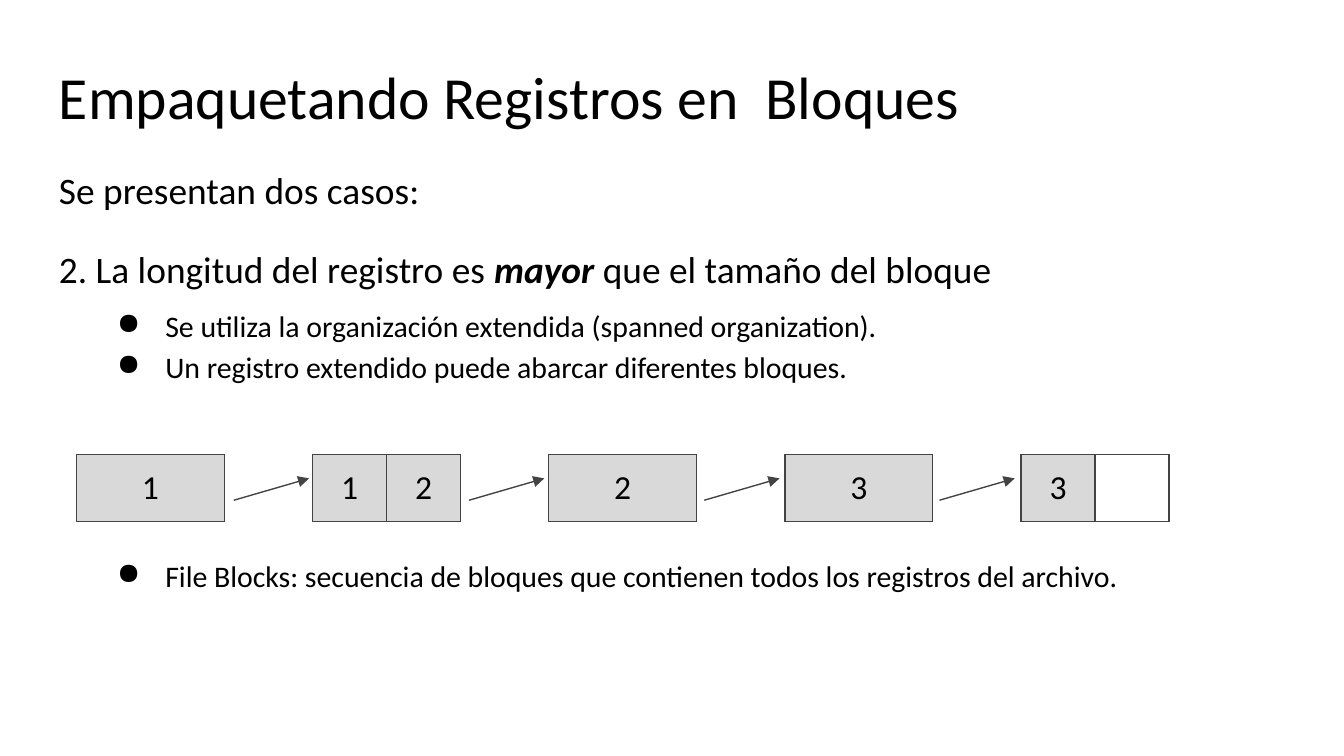
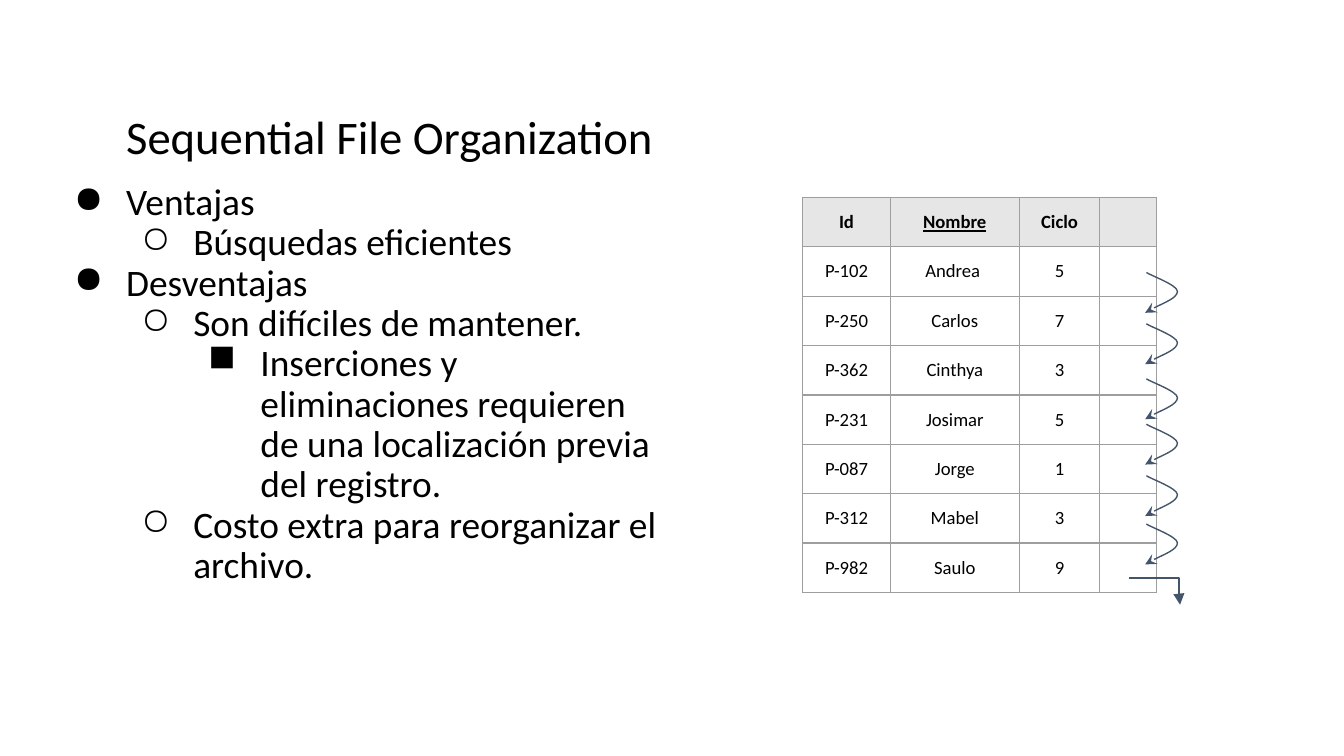
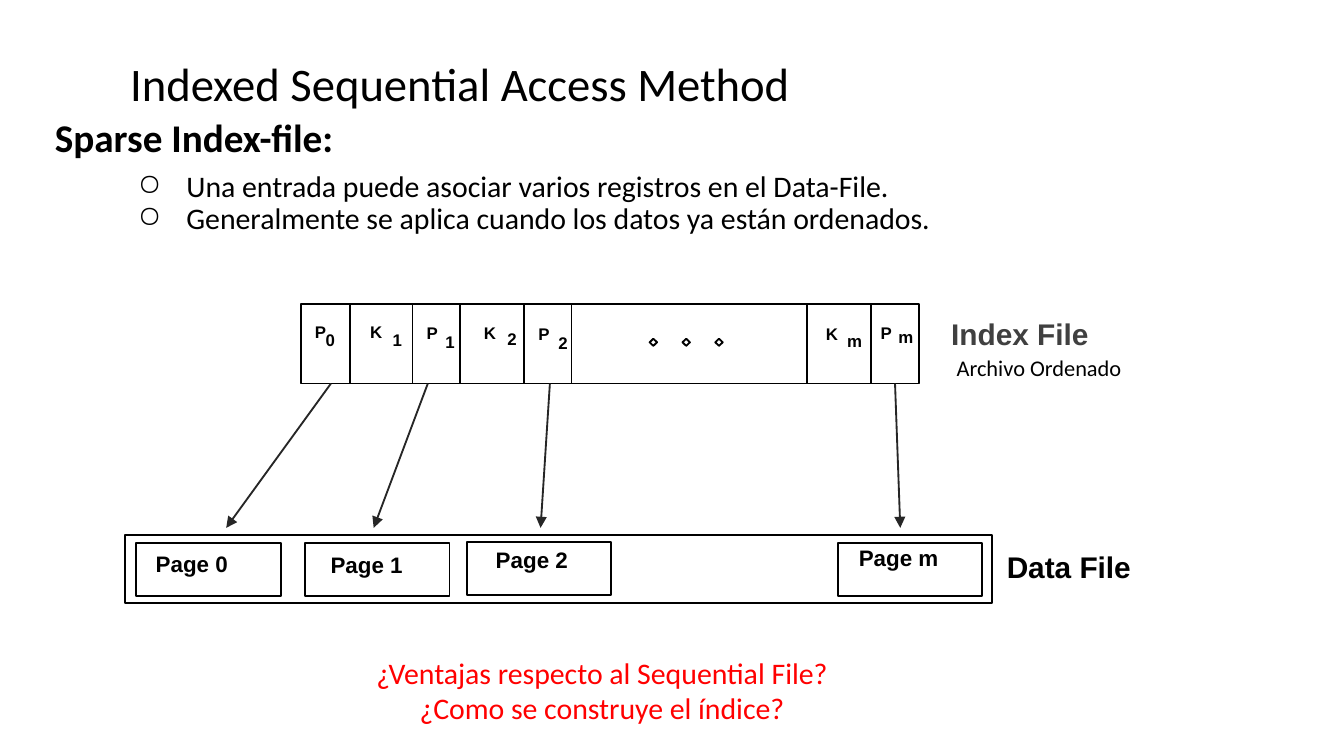
from dataclasses import dataclass

from lxml import etree
from pptx import Presentation
from pptx.dml.color import RGBColor
from pptx.enum.shapes import MSO_CONNECTOR as Connector, MSO_SHAPE as Preset
from pptx.enum.text import PP_ALIGN as Align
from pptx.oxml.ns import qn
from pptx.util import Pt

COLORS = {
    "text": "000000", "block": "D9D9D9", "block_line": "434343",
    "header": "E7E6E6", "grid": "9E9E9E", "pointer": "44546A",
    "label": "404040", "arrow": "262626", "question": "FF0000",
}
BODY_FONT, DIAGRAM_FONT = "Calibri", "Arial"
PLACEHOLDER_INSETS, BOX_INSETS, KEY_INSETS = (7.2, 7.2), (7.2, 3.6), (6, 3)
MARGIN, CONTENT_WIDTH, TITLE_HEIGHT = 24.5, 671, 55.5


@dataclass
class Line:
    """One paragraph; each run is a (text, styles) pair, styles among b, i, u."""
    runs: list
    size: float = 20
    spacing: float = 1
    before: float = 0
    align: Align = Align.LEFT
    level: int = 0
    left: float = 0
    hanging: float = 0
    bullet: str = ""


def rgb(name):
    return RGBColor.from_string(COLORS[name])


def add_element(parent, tag, **attributes):
    return etree.SubElement(parent, qn(tag), attributes)


# ---- Text ----
def write_line(paragraph, line, font, color):
    paragraph.alignment = line.align
    paragraph.level = line.level
    paragraph.line_spacing = line.spacing
    paragraph.space_before = Pt(line.before)
    properties = paragraph._p.get_or_add_pPr()
    properties.set("marL", str(Pt(line.left)))
    properties.set("indent", str(Pt(-line.hanging)))
    if line.bullet:
        add_element(properties, "a:buChar", char=line.bullet)
    for text, styles in line.runs:
        run = paragraph.add_run()
        run.text = text
        run.font.name = font
        run.font.size = Pt(line.size)
        run.font.color.rgb = rgb(color)
        run.font.bold = "b" in styles
        run.font.italic = "i" in styles
        run.font.underline = "u" in styles


def add_text(slide, box, lines, font=BODY_FONT, color="text",
             insets=BOX_INSETS, wrap=True):
    frame = slide.shapes.add_textbox(*map(Pt, box)).text_frame
    frame.word_wrap = wrap
    frame.margin_left = frame.margin_right = Pt(insets[0])
    frame.margin_top = frame.margin_bottom = Pt(insets[1])
    for index, line in enumerate(lines):
        paragraph = frame.add_paragraph() if index else frame.paragraphs[0]
        write_line(paragraph, line, font, color)


def add_title(slide, text, top, left=MARGIN, size=25, spacing=1.5, indent=36):
    line = Line([(text, "")], size, spacing, left=indent)
    add_text(slide, (left, top, CONTENT_WIDTH, TITLE_HEIGHT), [line],
             insets=PLACEHOLDER_INSETS)


def add_label(slide, box, text, size=12, color="text", insets=BOX_INSETS, wrap=True):
    add_text(slide, box, [Line([(text, "b")], size)], DIAGRAM_FONT, color, insets, wrap)


# ---- Shapes and lines ----
def style_line(shape, color, width, arrow=None):
    shape.line.color.rgb = rgb(color)
    shape.line.width = Pt(width)
    if arrow:
        add_element(shape.line._get_or_add_ln(), "a:tailEnd", type=arrow)


def add_outline(slide, box, preset=Preset.RECTANGLE):
    shape = slide.shapes.add_shape(preset, *map(Pt, box))
    shape.shadow.inherit = False
    shape.fill.background()
    style_line(shape, "text", 1)


def add_arrow(slide, start, end, color, width, kind=Connector.STRAIGHT):
    connector = slide.shapes.add_connector(kind, *map(Pt, (*start, *end)))
    style_line(connector, color, width, "triangle")
    add_element(connector._element.spPr, "a:effectLst")
    return connector


def add_pointer_curve(slide, left, top):
    """Two cubic curves that bulge right and lead to the next record."""
    offsets = [(2.2, 1.6), (16.6, 6.7), (16.6, 10.1),
               (16.6, 13.7), (2.2, 19.4), (-0.7, 21.6)]
    builder = slide.shapes.build_freeform(Pt(left), Pt(top))
    builder.add_line_segments([(Pt(left + x), Pt(top + y)) for x, y in offsets],
                              close=False)
    shape = builder.convert_to_shape()
    shape.shadow.inherit = False
    shape.fill.background()
    style_line(shape, "pointer", 0.75, "stealth")
    # Each three straight segments become the points of one curve
    outline = shape._element.find(".//" + qn("a:path"))
    segments = outline.findall(qn("a:lnTo"))
    for first in (0, 3):
        curve = add_element(outline, "a:cubicBezTo")
        for segment in segments[first:first + 3]:
            curve.append(segment[0])
            outline.remove(segment)


# ---- Tables ----
def style_cell(cell, text, styles, size, border, fill):
    properties = cell._tc.get_or_add_tcPr()
    for side in ("a:lnL", "a:lnR", "a:lnT", "a:lnB"):
        edge = add_element(properties, side, w=str(Pt(0.75)))
        add_element(add_element(edge, "a:solidFill"), "a:srgbClr", val=COLORS[border])
    if fill:
        cell.fill.solid()
        cell.fill.fore_color.rgb = rgb(fill)
    else:
        cell.fill.background()
    inset = Pt(7.2 if text else 0)
    cell.margin_left = cell.margin_right = cell.margin_top = cell.margin_bottom = inset
    if text:
        write_line(cell.text_frame.paragraphs[0],
                   Line([(text, styles)], size, align=Align.CENTER), BODY_FONT, "text")


def add_grid(slide, left, top, widths, row_height, rows, size, border):
    """Rows hold (text, styles, fill) cells."""
    frame = slide.shapes.add_table(len(rows), len(widths), Pt(left), Pt(top),
                                   Pt(sum(widths)), Pt(row_height * len(rows)))
    table = frame.table
    table.first_row = table.horz_banding = False
    for column, width in zip(table.columns, widths):
        column.width = Pt(width)
    for row, cells in zip(table.rows, rows):
        row.height = Pt(row_height)
        for cell, (text, styles, fill) in zip(row.cells, cells):
            style_cell(cell, text, styles, size, border, fill)


# ---- Slides ----
def build_spanned_slide(slide):
    add_title(slide, "Empaquetando Registros en  Bloques", 29, size=32, spacing=0.9,
              indent=0)

    def point(text, before):
        return Line([(text, "")], 16, 1.15, before, left=57, hanging=26, bullet="●")

    add_text(slide, (MARGIN, 85, CONTENT_WIDTH, 140), [
        Line([("Se presentan dos casos:", "")], spacing=0.9, before=6),
        Line([("2. La longitud del registro es ", ""), ("mayor ", "bi"),
              ("que el tamaño del bloque", "")], spacing=1.5, before=6),
        point("Se utiliza la organización extendida (spanned organization).", 6),
        point("Un registro extendido puede abarcar diferentes bloques.", 0),
        point("File Blocks: secuencia de bloques que contienen todos los registros "
              "del archivo.", 90),
    ], insets=PLACEHOLDER_INSETS)

    # Chain of blocks, each holding one or two record parts
    blocks = [["1"], ["1", "2"], ["2"], ["3"], ["3", ""]]
    for index, parts in enumerate(blocks):
        cells = [(part, "", "block" if part else None) for part in parts]
        widths = [79.2 / len(parts)] * len(parts)
        add_grid(slide, 41 + 126.5 * index, 243.5, widths, 34.5, [cells], 18,
                 "block_line")
    for index in range(len(blocks) - 1):
        left = 125.3 + 126 * index
        add_arrow(slide, (left, 268), (left + 40.3, 256.3), "block_line", 0.75)


def build_sequential_slide(slide):
    add_title(slide, "Sequential File Organization", 35.5)
    points = [
        (0, "Ventajas"), (1, "Búsquedas eficientes"),
        (0, "Desventajas"), (1, "Son difíciles de mantener."),
        (2, "Inserciones y eliminaciones requieren de una localización previa "
            "del registro."),
        (1, "Costo extra para reorganizar el archivo."),
    ]
    add_text(slide, (MARGIN, 91, 342.7, 269), [
        Line([(text, "")], spacing=0.9, level=level, left=36 * (level + 1),
             hanging=28, bullet="●○■"[level])
        for level, text in points
    ], insets=PLACEHOLDER_INSETS)

    # Student records
    header = [("Id", "b", "header"), ("Nombre", "bu", "header"),
              ("Ciclo", "b", "header"), ("", "", "header")]
    records = [
        ("P-102", "Andrea ", "5"), ("P-250", "Carlos", "7"), ("P-362", "Cinthya", "3"),
        ("P-231", "Josimar", "5"), ("P-087", "Jorge", "1"), ("P-312", "Mabel", "3"),
        ("P-982", "Saulo", "9"),
    ]
    rows = [[(text, "", None) for text in (*record, "")] for record in records]
    add_grid(slide, 430, 105.8, [47, 69, 43.2, 30.2], 26.4, [header] + rows, 10, "grid")

    # Pointers from each record to the next
    for top in (146, 173.5, 203, 227.3, 254.9, 280.8):
        add_pointer_curve(slide, 614.2, top)
    last = add_arrow(slide, (605, 309.7), (632.2, 324), "pointer", 0.75, Connector.ELBOW)
    add_element(last._element.find(".//" + qn("a:avLst")), "a:gd",
                name="adj1", fmla="val 98000")


def build_indexed_slide(slide):
    add_title(slide, "Indexed Sequential Access Method", 7.2, left=26.6)

    def point(text, before):
        return Line([(text, "")], 16, 0.9, before, Align.JUSTIFY, 1, 70.5, 26, "○")

    add_text(slide, (22.3, 56.2, CONTENT_WIDTH, 113), [
        Line([("Sparse Index-file:", "b")], 21, 0.9, 6, Align.JUSTIFY),
        point("Una entrada puede asociar varios registros en el Data-File.", 6),
        point("Generalmente se aplica cuando los datos ya están ordenados.", 0),
    ], insets=PLACEHOLDER_INSETS)

    # Data file and its pages: box left, box top, label left, label top
    add_outline(slide, (67, 286.5, 464.4, 36.4))
    pages = [("0", 73, 291, 76.3, 291), ("1", 163.4, 291, 170, 291.8),
             ("2", 250, 290.3, 258.5, 288.9), ("m", 448.8, 291, 453, 288)]
    for name, left, top, label_left, label_top in pages:
        add_outline(slide, (left, top, 77.5, 28.5))
        add_label(slide, (label_left, label_top, 62, 21.8), f"Page {name}")
    add_label(slide, (532.3, 290.3, 103, 26.6), "Data File", 16)

    # Index file and its cells
    for left, width in ((161.3, 331.2), (187.4, 33.6), (246.4, 34.2),
                        (280.6, 25.6), (432.2, 34.4)):
        add_outline(slide, (left, 163, width, 42.5))
    for index in range(3):
        add_outline(slide, (348 + 17.6 * index, 181.5, 4, 3.8), Preset.DIAMOND)

    # Keys and pointers: letter place, then subscript place
    entries = [("P", 162.7, 169.2, "0", 168.5, 173.7), ("K", 192.3, 169.2, "1", 204.3, 173.7),
               ("P", 222.6, 169.9, "1", 232.6, 174.8), ("K", 253.3, 169.9, "2", 265.8, 173.2),
               ("P", 282.5, 170.5, "2", 293.2, 175.5), ("K", 436.4, 170.6, "m", 447.9, 174.4),
               ("P", 465.8, 170, "m", 475.3, 172.2)]
    for letter, left, top, subscript, sub_left, sub_top in entries:
        sub_width = 18.7 if subscript == "m" else 16
        add_label(slide, (left, top, 17, 16.5), letter, 9, insets=KEY_INSETS, wrap=False)
        add_label(slide, (sub_left, sub_top, sub_width, 16.5), subscript, 9,
                  insets=KEY_INSETS, wrap=False)
    add_label(slide, (502.5, 165.8, 89.3, 26.6), "Index File", 16, "label", wrap=False)
    add_text(slide, (505.4, 186, 146, 21.8), [Line([("Archivo Ordenado", "")], 12)])

    # Index pointers to pages
    for start_x, end_x in ((177.3, 121.2), (229.2, 200.2), (294.6, 289.6), (479.5, 482.3)):
        add_arrow(slide, (start_x, 205.5), (end_x, 282.8), "arrow", 1)

    # Questions for the class
    questions = ["¿Ventajas respecto al Sequential File?", "¿Como se construye el índice?"]
    add_text(slide, (193, 347, 259.2, 46),
             [Line([(text, "")], 16, align=Align.CENTER) for text in questions],
             color="question", wrap=False)


def main():
    presentation = Presentation()
    presentation.slide_width, presentation.slide_height = Pt(720), Pt(405)
    blank = presentation.slide_layouts[6]
    for build in (build_spanned_slide, build_sequential_slide, build_indexed_slide):
        build(presentation.slides.add_slide(blank))
    presentation.save("out.pptx")


if __name__ == "__main__":
    main()
